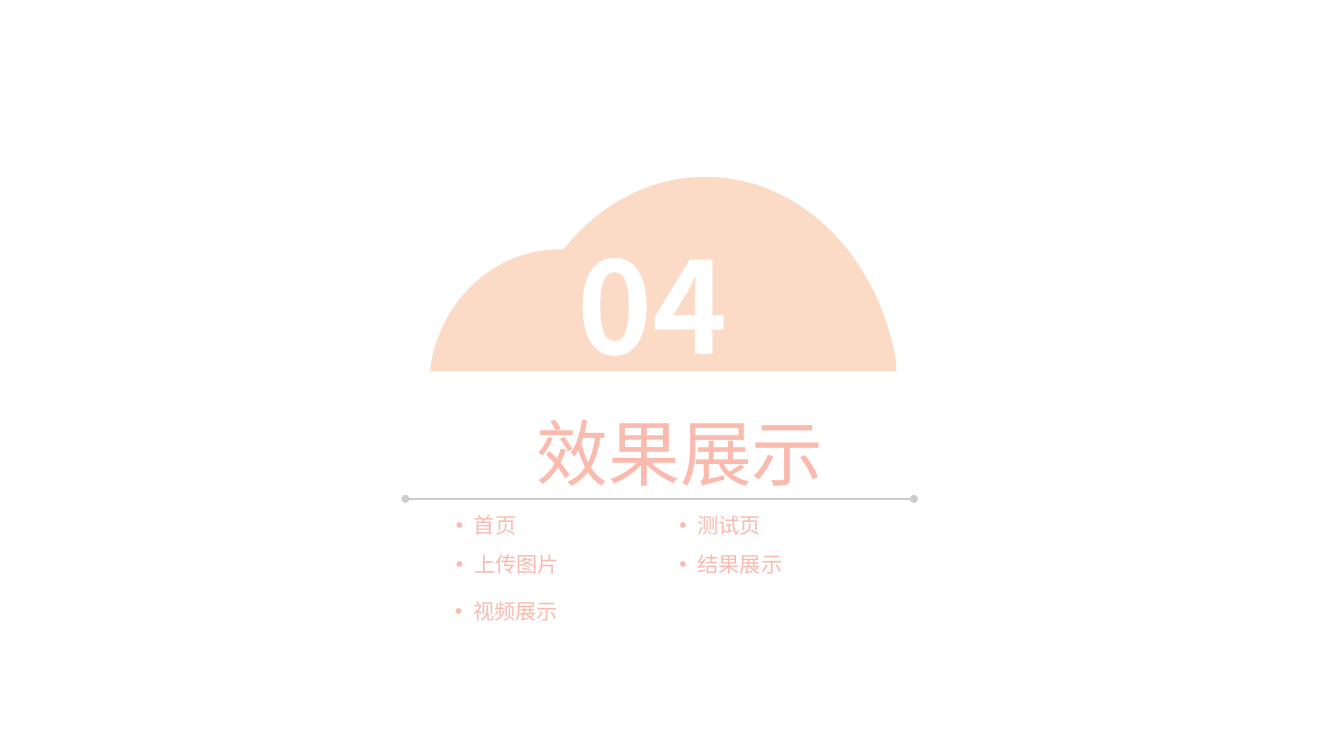
from lxml import etree
from pptx import Presentation
from pptx.dml.color import RGBColor
from pptx.enum import shapes, text
from pptx.oxml import ns
from pptx.util import Inches, Pt

FONT = "Noto Sans CJK SC"
COLOURS = {"cloud": "FBDBC6", "rule": "CCCCCC", "text": "FABAAE", "number": "FFFFFF"}
NUMBER = "04"
TITLE = "效果展示"
TOPICS = [
    ("首页", 4.67, 5.31, 0.84),
    ("测试页", 7.01, 5.31, 1.09),
    ("上传图片", 4.67, 5.72, 1.29),
    ("结果展示", 7.01, 5.72, 1.29),
    ("视频展示", 4.66, 6.21, 1.29),
]
TOPIC_HEIGHT = 0.37
DOME_BASE = 3.88
DOMES = [
    {"curve": [(7.38, 1.85), (6.4, 1.85), (5.58, 2.67), (5.39, 3.76)], "left": 5.38},
    {"curve": [(5.85, 2.61), (5.19, 2.61), (4.63, 3.12), (4.51, 3.8)], "left": 4.5},
]


def colour(name):
    return RGBColor.from_string(COLOURS[name])


def bend(lines):
    curve = etree.Element(ns.qn("a:cubicBezTo"))
    lines[0].addprevious(curve)
    for line in lines:
        curve.append(line[0])
        line.getparent().remove(line)


def add_dome(page, curve, left):
    half = curve + [(left, DOME_BASE)]
    centre = curve[0][0]
    mirrored = [(2 * centre - x, y) for x, y in reversed(half)]
    outline = [(Inches(x), Inches(y)) for x, y in half + mirrored]
    builder = page.shapes.build_freeform(*outline[0])
    builder.add_line_segments(outline[1:], close=True)
    dome = builder.convert_to_shape()
    lines = list(dome._element.iter(ns.qn("a:lnTo")))
    bend(lines[:3])
    bend(lines[6:9])
    dome.shadow.inherit = False
    dome.fill.solid()
    dome.fill.fore_color.rgb = colour("cloud")
    dome.line.fill.background()


def add_rule(page, left, right, top):
    rule = page.shapes.add_connector(
        shapes.MSO_CONNECTOR.STRAIGHT, Inches(left), Inches(top), Inches(right), Inches(top)
    )
    rule.line.color.rgb = colour("rule")
    rule.line.width = Pt(1)
    for end in ("a:headEnd", "a:tailEnd"):
        etree.SubElement(rule.line._get_or_add_ln(), ns.qn(end), type="oval")
    etree.SubElement(rule._element.spPr, ns.qn("a:effectLst"))


def add_text(page, words, place, size, tone="text", bold=False, margin=0.0, wrap=True, centred=True):
    box = page.shapes.add_textbox(*map(Inches, place))
    frame = box.text_frame
    frame.word_wrap = wrap
    frame.auto_size = text.MSO_AUTO_SIZE.SHAPE_TO_FIT_TEXT
    frame.margin_left = frame.margin_right = Inches(margin)
    frame.margin_top = frame.margin_bottom = Inches(margin / 2)
    para = frame.paragraphs[0]
    para.alignment = text.PP_ALIGN.CENTER if centred else text.PP_ALIGN.LEFT
    span = para.add_run()
    span.text = words
    span.font.size = Pt(size)
    span.font.bold = bold
    span.font.name = FONT
    span.font.color.rgb = colour(tone)
    etree.SubElement(span._r.get_or_add_rPr(), ns.qn("a:ea"), typeface=FONT)
    return para


def add_bullet(para):
    properties = para._p.get_or_add_pPr()
    properties.set("marL", str(Inches(0.19)))
    properties.set("indent", str(-Inches(0.19)))
    etree.SubElement(properties, ns.qn("a:buFont"), typeface="Arial")
    etree.SubElement(properties, ns.qn("a:buChar"), char="•")


def main():
    deck = Presentation()
    deck.slide_width = Inches(14.06)
    deck.slide_height = Inches(7.91)
    page = deck.slides.add_slide(deck.slide_layouts[6])
    for dome in DOMES:
        add_dome(page, **dome)
    add_text(page, NUMBER, (5.83, 2.38, 2, 1.93), 96, tone="number", bold=True)
    add_rule(page, 4.24, 9.56, 5.22)
    add_text(page, TITLE, (4.67, 4.28, 4.89, 0.91), 54)
    for words, left, top, width in TOPICS:
        place = (left, top, width, TOPIC_HEIGHT)
        add_bullet(add_text(page, words, place, 16, margin=0.1, wrap=False, centred=False))
    deck.save("out.pptx")


if __name__ == "__main__":
    main()
